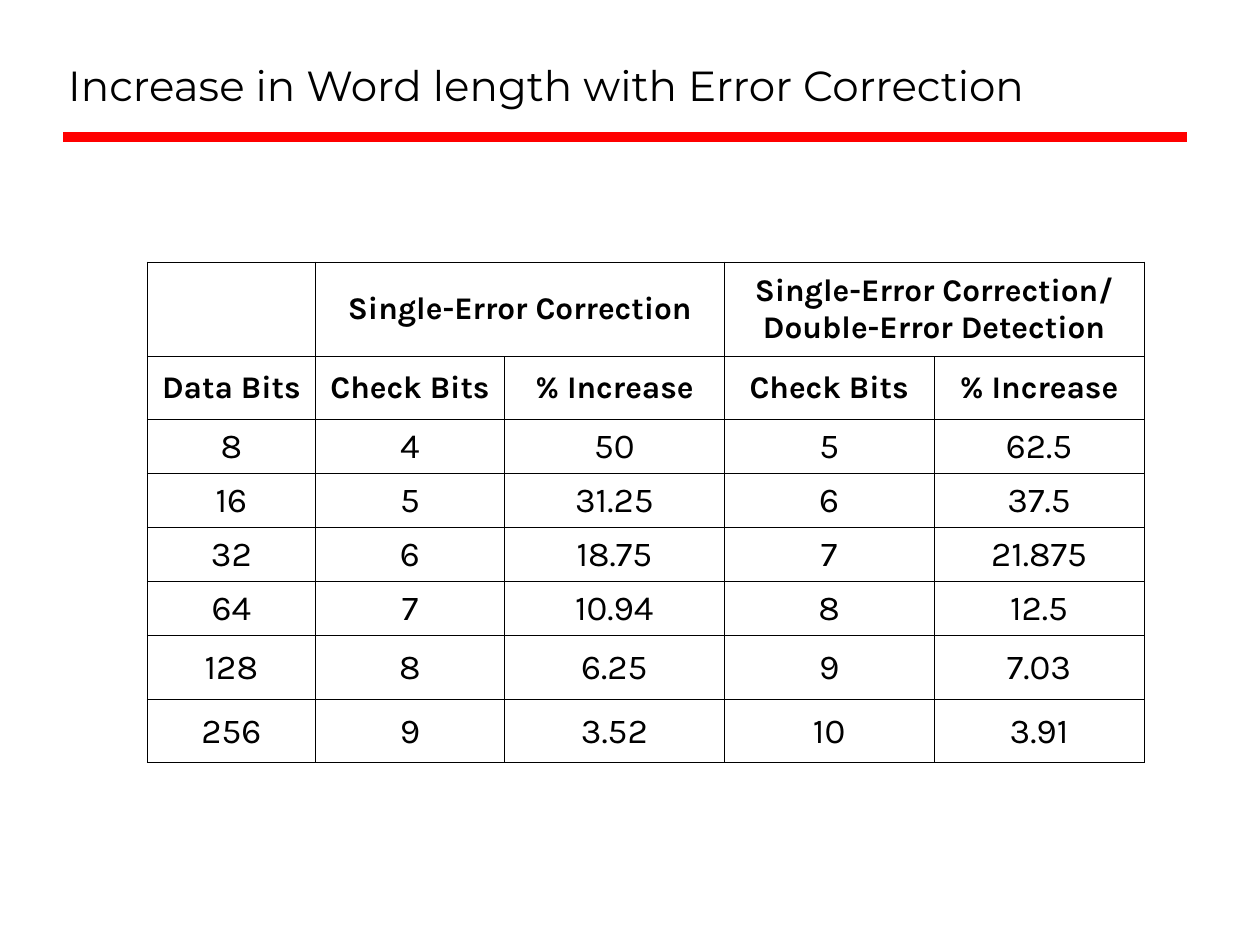
from lxml import etree
from pptx import Presentation
from pptx.dml.color import RGBColor
from pptx.enum.shapes import MSO_CONNECTOR
from pptx.enum.text import MSO_ANCHOR, MSO_AUTO_SIZE, PP_ALIGN
from pptx.oxml.ns import qn
from pptx.util import Cm, Pt

STRAIGHT = MSO_CONNECTOR.STRAIGHT
MIDDLE, BOTTOM = MSO_ANCHOR.MIDDLE, MSO_ANCHOR.BOTTOM
LEFT, CENTER = PP_ALIGN.LEFT, PP_ALIGN.CENTER
NO_FIT = MSO_AUTO_SIZE.NONE
BLACK, RED = "000000", "FF0000"
COLS = [3.39, 3.81, 4.43, 4.23, 4.23]
ROWS = [1.91, 1.27] + [1.08] * 4 + [1.3, 1.27]
GROUPS = {1: "Single-Error Correction",
          3: "Single-Error Correction/ Double-Error Detection"}
HEADS = ["Data Bits"] + ["Check Bits", "% Increase"] * 2
DATA = [
    ["8", "4", "50", "5", "62.5"],
    ["16", "5", "31.25", "6", "37.5"],
    ["32", "6", "18.75", "7", "21.875"],
    ["64", "7", "10.94", "8", "12.5"],
    ["128", "8", "6.25", "9", "7.03"],
    ["256", "9", "3.52", "10", "3.91"],
]


def color(code):
    """Turn a hex string into a colour."""
    return RGBColor.from_string(code)


def write(frame, text, face, size, align, bold=False):
    """Write one run into the first paragraph of a frame."""
    para = frame.paragraphs[0]
    para.alignment = align
    run = para.add_run()
    run.text = text
    font = run.font
    font.name, font.size, font.bold = face, Pt(size), bold
    font.color.rgb = color(BLACK)


def add_head(slide, left, top, width, height):
    """Place the title and the red rule below it."""
    title = slide.shapes.title
    title.left, title.top = Cm(left), Cm(top)
    title.width, title.height = Cm(width), Cm(height)
    frame = title.text_frame
    frame.auto_size = NO_FIT
    frame.word_wrap = True
    frame.vertical_anchor = BOTTOM
    write(frame, "Increase in Word length with Error Correction",
          "Montserrat", 24, LEFT)
    start, level = left + 0.15, top + 1.69
    rule = slide.shapes.add_connector(
        STRAIGHT, Cm(start), Cm(level), Cm(start + 22.65), Cm(level))
    rule.line.color.rgb = color(RED)
    rule.line.width = Pt(6)
    etree.SubElement(rule._element.spPr, qn("a:effectLst"))


def frame_cell(cell):
    """Give a cell thin black borders, small margins and no fill."""
    props = cell._tc.get_or_add_tcPr()
    for side in ("lnL", "lnR", "lnT", "lnB"):
        line = etree.SubElement(props, qn(f"a:{side}"), w=str(Pt(0.45)))
        fill = etree.SubElement(line, qn("a:solidFill"))
        etree.SubElement(fill, qn("a:srgbClr"), val=BLACK)
    cell.fill.background()
    cell.vertical_anchor = MIDDLE
    cell.margin_left = cell.margin_right = Cm(0.13)
    cell.margin_top = cell.margin_bottom = Cm(0.13)


def add_grid(slide, left, top):
    """Place the table of check bits."""
    table = slide.shapes.add_table(
        len(ROWS), len(COLS), Cm(left), Cm(top),
        Cm(sum(COLS)), Cm(sum(ROWS))).table
    table.first_row = table.horz_banding = False
    for col, width in zip(table.columns, COLS):
        col.width = Cm(width)
    for row, height in zip(table.rows, ROWS):
        row.height = Cm(height)
    for cell in table.iter_cells():
        frame_cell(cell)
    for col, text in GROUPS.items():
        cell = table.cell(0, col)
        cell.merge(table.cell(0, col + 1))
        write(cell.text_frame, text, "Karla", 18, CENTER, True)
    for row, texts in enumerate([HEADS] + DATA, 1):
        head = row == 1
        for col, text in enumerate(texts):
            write(table.cell(row, col).text_frame, text, "Karla",
                  18 if head else 20, CENTER, head)


def main():
    """Build and save the slide."""
    deck = Presentation()
    deck.slide_width, deck.slide_height = Cm(25.4), Cm(19.05)
    slide = deck.slides.add_slide(deck.slide_layouts[5])
    add_head(slide, 1.12, 1.07, 22.78, 1.27)
    add_grid(slide, 2.97, 5.28)
    deck.save("out.pptx")


if __name__ == "__main__":
    main()
